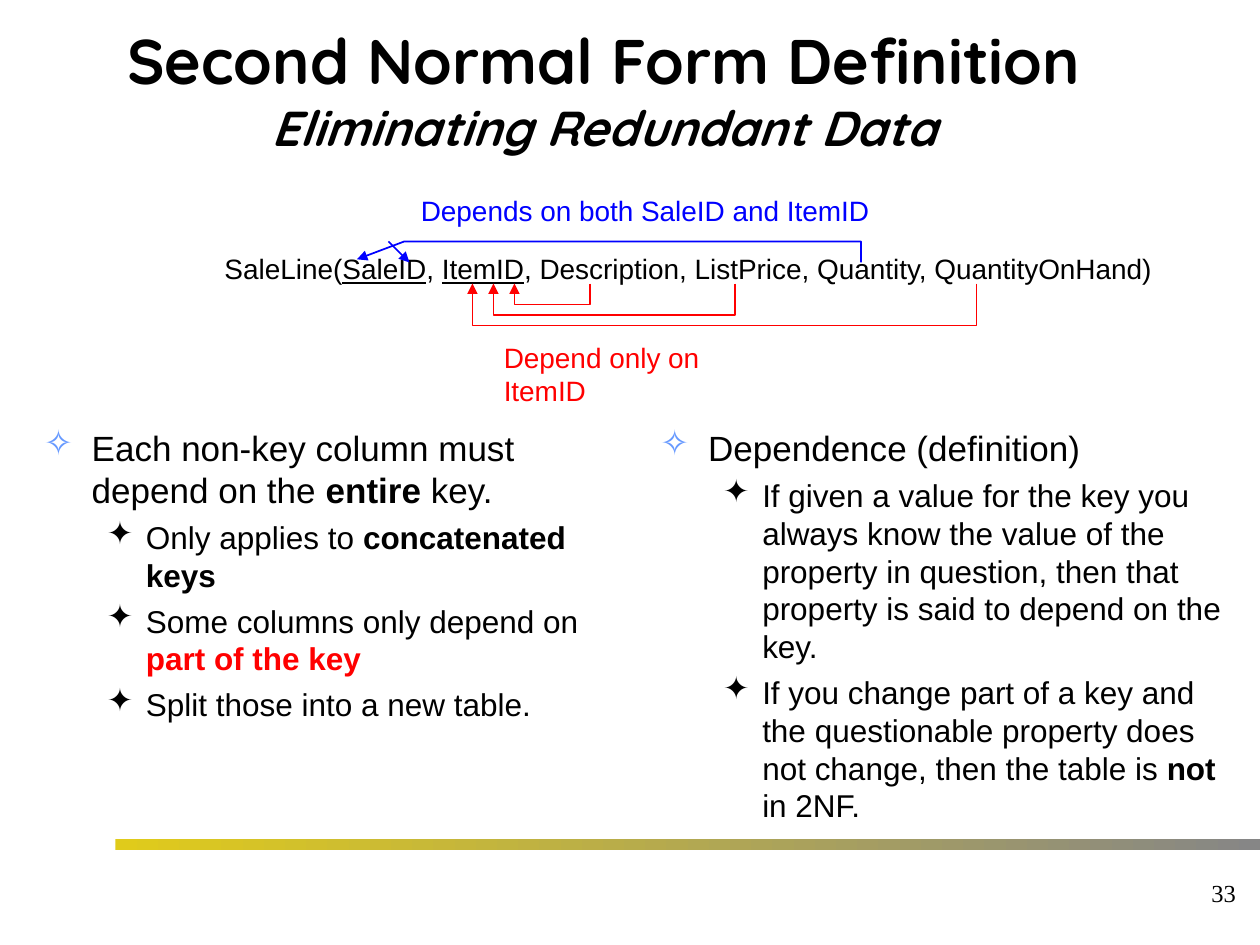
import pptx
import pptx.dml.color
import pptx.enum.shapes
import pptx.enum.text
import pptx.oxml
import pptx.oxml.ns
import pptx.util
from lxml import etree

RGB = pptx.dml.color.RGBColor
BLACK = RGB(0x00, 0x00, 0x00)
BLUE = RGB(0x00, 0x00, 0xFF)
RED = RGB(0xFF, 0x00, 0x00)
BULLET_BLUE = RGB(0x66, 0x99, 0xFF)
GOLD = RGB(0xE0, 0xCB, 0x1B)
GREY = RGB(0x86, 0x86, 0x86)

ALIGN = pptx.enum.text.PP_ALIGN
ANCHOR = pptx.enum.text.MSO_ANCHOR

# Bullet levels: character, colour, text size, left indent, hanging indent, space before
LEVELS = [("✧", BULLET_BLUE, 20, 0.38, 0.38, 5),
          ("✦", BLACK, 18, 0.81, 0.31, 4.5)]

LEFT_POINTS = [
    (0, [("Each non-key column must depend on the ", {}), ("entire", {"bold": True}),
         (" key.", {})]),
    (1, [("Only applies to ", {}), ("concatenated keys", {"bold": True})]),
    (1, [("Some columns only depend on ", {}),
         ("part of the key", {"bold": True, "color": RED})]),
    (1, [("Split those into a new table.", {})]),
]
RIGHT_POINTS = [
    (0, [("Dependence (definition)", {})]),
    (1, [("If given a value for the key you always know the value of the property in "
          "question, then that property is said to depend on the key.", {})]),
    (1, [("If you change part of a key and the questionable property does not change, "
          "then the table is ", {}), ("not", {"bold": True}), (" in 2NF.", {})]),
]
SALE_LINE = [("SaleLine(", {}), ("SaleID", {"underline": True}), (", ", {}),
             ("ItemID", {"underline": True}),
             (", Description, ListPrice, Quantity, QuantityOnHand)", {})]


def grid(n):
    """Length of n grid cells, twelve to the inch."""
    return pptx.util.Inches(n / 12)


def add_run(p, text, size, font="Arial", color=BLACK, bold=False, italic=False,
            underline=False):
    r = p.add_run()
    r.text = text
    f = r.font
    f.size, f.name, f.color.rgb = pptx.util.Pt(size), font, color
    f.bold, f.italic, f.underline = bold, italic, underline


def add_box(s, left, top, width, height, wrap=True, anchor=ANCHOR.TOP):
    tf = s.shapes.add_textbox(grid(left), grid(top), grid(width), grid(height)).text_frame
    tf.word_wrap = wrap
    tf.vertical_anchor = anchor
    return tf


def add_label(s, left, top, width, runs):
    tf = add_box(s, left, top, width, 4.4, wrap=False)
    tf.auto_size = pptx.enum.text.MSO_AUTO_SIZE.SHAPE_TO_FIT_TEXT
    for text, style in runs:
        add_run(tf.paragraphs[0], text, 16, **style)


def add_title(s):
    p = add_box(s, 0, 2, 115, 13, anchor=ANCHOR.MIDDLE).paragraphs[0]
    p.alignment = ALIGN.CENTER
    add_run(p, "Second Normal Form Definition", 36, "Quicksand", bold=True)
    p.add_line_break()
    add_run(p, "Eliminating Redundant Data", 28, "Quicksand", bold=True, italic=True)


def set_bullet(p, char, color, indent, hang):
    pPr = p._p.get_or_add_pPr()
    pPr.set("marL", str(pptx.util.Inches(indent)))
    pPr.set("indent", str(-pptx.util.Inches(hang)))
    buClr = etree.SubElement(pPr, pptx.oxml.ns.qn("a:buClr"))
    etree.SubElement(buClr, pptx.oxml.ns.qn("a:srgbClr")).set("val", str(color))
    etree.SubElement(pPr, pptx.oxml.ns.qn("a:buChar")).set("char", char)


def add_bullets(s, left, points):
    tf = add_box(s, left, 40, 56.4, 43)
    for i, (level, runs) in enumerate(points):
        char, color, size, indent, hang, before = LEVELS[level]
        p = tf.add_paragraph() if i else tf.paragraphs[0]
        p.level = level
        p.space_before = pptx.util.Pt(before)
        set_bullet(p, char, color, indent, hang)
        for text, style in runs:
            add_run(p, text, size, **style)


def style_arrow(sp, color):
    sp.line.color.rgb = color
    sp.line.width = pptx.util.Pt(1)
    ln = sp.line._get_or_add_ln()
    etree.SubElement(ln, pptx.oxml.ns.qn("a:tailEnd")).set("type", "triangle")


def add_bent_arrow(s, points, color):
    pts = [(grid(x), grid(y)) for x, y in points]
    fb = s.shapes.build_freeform(*pts[0])
    fb.add_line_segments(pts[1:], close=False)
    sp = fb.convert_to_shape()
    sp.fill.background()
    sp.shadow.inherit = False
    style_arrow(sp, color)


def add_straight_arrow(s, x1, y1, x2, y2, color):
    sp = s.shapes.add_connector(pptx.enum.shapes.MSO_CONNECTOR.STRAIGHT,
                                grid(x1), grid(y1), grid(x2), grid(y2))
    style_arrow(sp, color)
    etree.SubElement(sp._element.spPr, pptx.oxml.ns.qn("a:effectLst"))


def add_footer(s):
    sp = s.shapes.add_shape(pptx.enum.shapes.MSO_SHAPE.RECTANGLE,
                            grid(11), grid(79.9), grid(109), grid(1.1))
    sp.shadow.inherit = False
    sp.line.fill.background()
    sp.fill.gradient()
    sp.fill.gradient_angle = 0
    for stop, color, pos in zip(sp.fill.gradient_stops, (GOLD, GREY), (0, 1)):
        stop.color.rgb = color
        stop.position = pos
    p = add_box(s, 94, 82, 24.9, 6, wrap=False, anchor=ANCHOR.MIDDLE).paragraphs[0]
    p.alignment = ALIGN.RIGHT
    add_run(p, "33", 14, "Times New Roman")


def main():
    prs = pptx.Presentation()
    prs.slide_width, prs.slide_height = grid(120), grid(90)
    s = prs.slides.add_slide(prs.slide_layouts[6])

    add_footer(s)
    add_title(s)

    # Two columns of bullets
    add_bullets(s, 3, LEFT_POINTS)
    add_bullets(s, 61.7, RIGHT_POINTS)

    # Table definition and its dependency labels
    add_label(s, 20.2, 23.4, 91, SALE_LINE)
    add_label(s, 38.9, 17.8, 45.1, [("Depends on both SaleID and ItemID", {"color": BLUE})])
    add_label(s, 46.8, 31.8, 29.5, [("Depend only on ItemID", {"color": RED})])

    # Dependence on both keys
    add_bent_arrow(s, [(82, 25), (82, 23), (38.5, 23), (34, 24.7)], BLUE)
    add_straight_arrow(s, 37, 23, 39, 25, BLUE)

    # Dependence on ItemID only: start column, key column, depth
    for start, end, bottom in [(56.2, 49, 29), (70, 47, 30), (93, 45, 31)]:
        add_bent_arrow(s, [(start, 27), (start, bottom), (end, bottom), (end, 27)], RED)

    prs.save("out.pptx")


if __name__ == "__main__":
    main()
